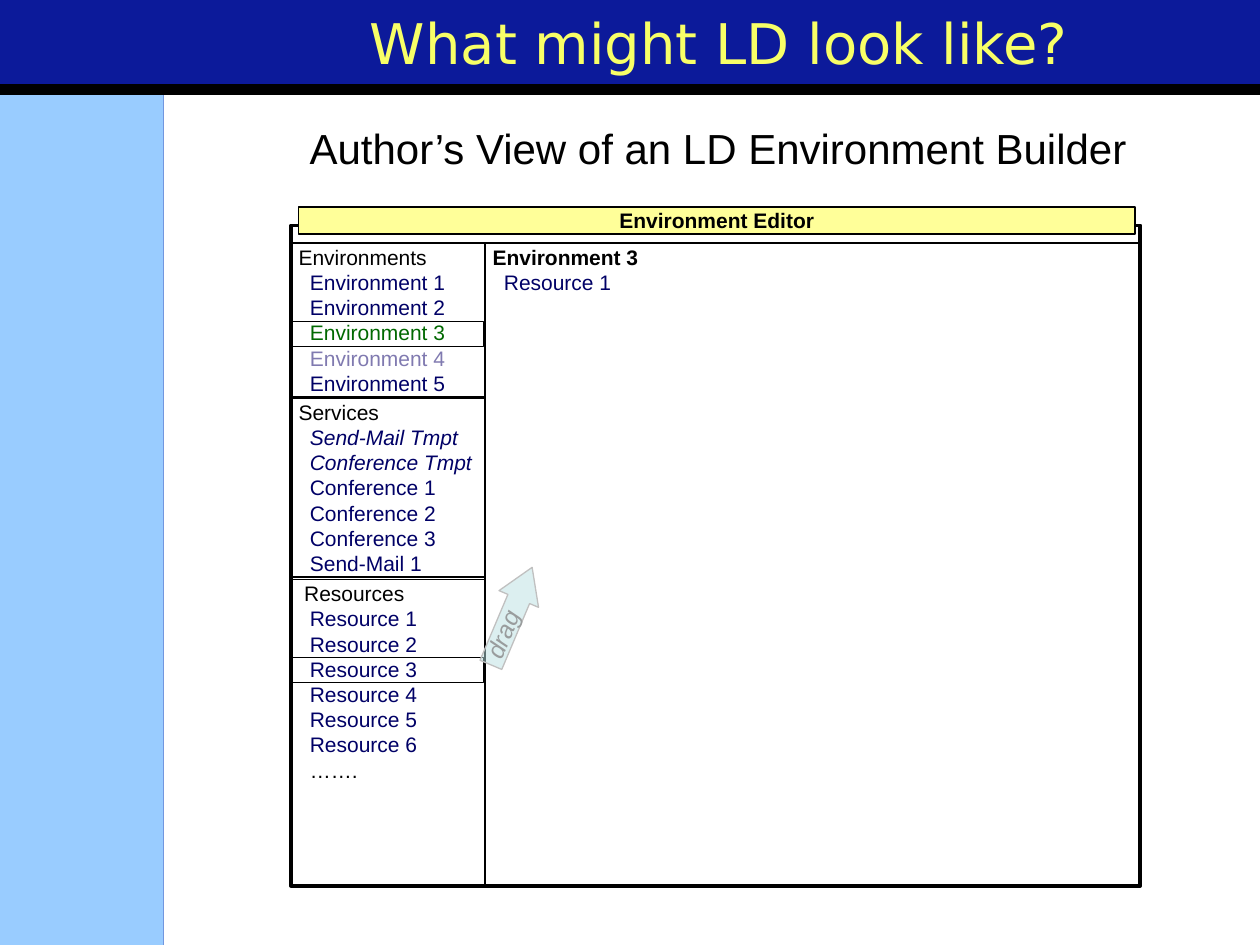
import pptx
import pptx.util
import pptx.dml.color
import pptx.enum.shapes
import pptx.enum.text
import pptx.oxml
import pptx.oxml.ns
from dataclasses import dataclass

Inches = pptx.util.Inches
SHAPES = pptx.enum.shapes.MSO_SHAPE
ALIGN = pptx.enum.text.PP_ALIGN
ANCHOR = pptx.enum.text.MSO_ANCHOR


@dataclass(frozen=True)
class Theme:
    navy: str = "0C1A9A"
    sky: str = "99CCFF"
    white: str = "FFFFFF"
    black: str = "000000"
    title: str = "F8FF67"
    bar: str = "FFFF99"
    item: str = "000066"
    chosen: str = "006800"
    dimmed: str = "807AB0"
    arrow: str = "BBE0E3"
    arrow_line: str = "C0C0C0"
    drag: str = "999C9D"
    font: str = "Arial"
    title_font: str = "DejaVu Sans"
    title_size: int = 32
    heading_size: int = 24
    drag_size: int = 14
    body_size: int = 12


THEME = Theme()
ROW = 0.2          # height of one list row
INDENT = 0.09      # indent of list items
SMALL_INSETS = (0.06, 0.01, 0.06, 0.01)
TEXT_INSETS = (0.1, 0.05, 0.1, 0.05)


def rgb(code):
    return pptx.dml.color.RGBColor.from_string(code)


def add_shape(page, box, fill=None, line=None, width=1, kind=SHAPES.RECTANGLE):
    shape = page.shapes.add_shape(kind, *map(Inches, box))
    shape.shadow.inherit = False
    if fill:
        shape.fill.solid()
        shape.fill.fore_color.rgb = rgb(fill)
    else:
        shape.fill.background()
    if line:
        shape.line.color.rgb = rgb(line)
        shape.line.width = pptx.util.Pt(width)
    else:
        shape.line.fill.background()
    return shape


def set_frame(shape, insets, anchor=ANCHOR.TOP):
    frame = shape.text_frame
    frame.word_wrap = True
    frame.vertical_anchor = anchor
    (frame.margin_left, frame.margin_top,
     frame.margin_right, frame.margin_bottom) = map(Inches, insets)
    return frame


def write(para, text, size=THEME.body_size, color=THEME.black, font=THEME.font,
          bold=False, italic=False, align=ALIGN.LEFT, indent=0):
    para.alignment = align
    if indent:
        para._p.get_or_add_pPr().set("marL", str(Inches(indent)))
    span = para.add_run()
    span.text = text
    span.font.name = font
    span.font.size = pptx.util.Pt(size)
    span.font.color.rgb = rgb(color)
    span.font.bold = bold
    span.font.italic = italic


def add_text(page, box, text, insets=TEXT_INSETS, anchor=ANCHOR.TOP, **style):
    shape = page.shapes.add_textbox(*map(Inches, box))
    write(set_frame(shape, insets, anchor).paragraphs[0], text, **style)
    return shape


def add_backdrop(page, width, height):
    """Navy title band, black rule, blue sidebar and white body."""
    page.background.fill.solid()
    page.background.fill.fore_color.rgb = rgb(THEME.navy)
    side, top, rule = 1.3, 0.75, 0.08
    add_shape(page, (side, top, width - side, height - top), THEME.white)
    add_shape(page, (0, top, side, height - top), THEME.sky)
    add_shape(page, (0, top - rule, width, rule), THEME.black, THEME.black, 0.75)


def add_list(page, box, heading, items, bold=False, heading_indent=0, marked=None):
    """Outlined list: items are (text, style) pairs; one row may be framed."""
    left, top, width, _ = box
    frame = set_frame(add_shape(page, box, line=THEME.black), SMALL_INSETS)
    write(frame.paragraphs[0], heading, bold=bold, indent=heading_indent)
    for text, style in items:
        write(frame.add_paragraph(), text, indent=INDENT,
              **{"color": THEME.item, **style})
    if marked:
        row_top = top + 0.02 + marked * ROW
        add_shape(page, (left, row_top, width - 0.01, ROW), line=THEME.black, width=0.75)


def add_editor(page, box):
    """Editor window: title bar, three lists on the left, work area on the right."""
    left, top, width, height = box
    add_shape(page, box, THEME.white, THEME.black, 2.25)
    bar = add_shape(page, (left + 0.06, top - 0.15, width - 0.1, 0.22),
                    THEME.bar, THEME.black)
    write(set_frame(bar, SMALL_INSETS).paragraphs[0], "Environment Editor",
          bold=True, align=ALIGN.CENTER)

    column, bottom = 1.54, top + height
    inner = top + 0.14
    states = {3: {"color": THEME.chosen}, 4: {"color": THEME.dimmed}}
    environments = [(f"Environment {n}", states.get(n, {})) for n in range(1, 6)]
    templates = [(f"{name} Tmpt", {"italic": True}) for name in ("Send-Mail", "Conference")]
    conferences = [(f"Conference {n}", {}) for n in range(1, 4)]
    services = templates + conferences + [("Send-Mail 1", {})]
    resources = [(f"Resource {n}", {}) for n in range(1, 7)]
    more = [("…….", {"color": THEME.black})]

    add_list(page, (left, inner, column, 1.22), "Environments", environments, marked=3)
    add_list(page, (left, 3.16, column, 1.42), "Services", services)
    add_list(page, (left, 4.6, column, bottom - 4.6), "Resources", resources + more,
             heading_indent=INDENT / 2, marked=3)
    add_list(page, (left + column, inner, width - column, bottom - inner),
             "Environment 3", resources[:1], bold=True)


def add_drag_arrow(page, box):
    """Half-transparent arrow with a label turned along it."""
    left, top, _, height = box
    angle = 292.9
    arrow = add_shape(page, box, THEME.arrow, THEME.arrow_line, 0.75, SHAPES.RIGHT_ARROW)
    arrow.adjustments[0], arrow.adjustments[1] = 0.55, 0.8
    arrow.rotation = angle
    color = arrow._element.spPr.find(".//" + pptx.oxml.ns.qn("a:srgbClr"))
    color.append(pptx.oxml.parse_xml(
        f'<a:alpha {pptx.oxml.ns.nsdecls("a")} val="50000"/>'))
    label = add_text(page, (left + 0.04, top + 0.12, 0.64, height), "drag",
                     size=THEME.drag_size, color=THEME.drag, italic=True)
    label.rotation = angle


def main():
    deck = pptx.Presentation()
    width, height = 10, 7.5
    deck.slide_width, deck.slide_height = Inches(width), Inches(height)
    page = deck.slides.add_slide(deck.slide_layouts[6])

    add_backdrop(page, width, height)
    add_text(page, (2.07, 0, 7.42, 0.67), "What might LD look like?",
             insets=(0.1, 0.05, 0.24, 0.05), anchor=ANCHOR.MIDDLE,
             size=THEME.title_size, color=THEME.title, font=THEME.title_font,
             align=ALIGN.CENTER)
    add_editor(page, (2.31, 1.79, 6.74, 5.24))
    add_drag_arrow(page, (3.64, 4.72, 0.84, 0.34))
    add_text(page, (2.01, 0.92, 7.38, 0.5), "Author’s View of an LD Environment Builder",
             size=THEME.heading_size, align=ALIGN.CENTER)
    deck.save("out.pptx")


if __name__ == "__main__":
    main()
